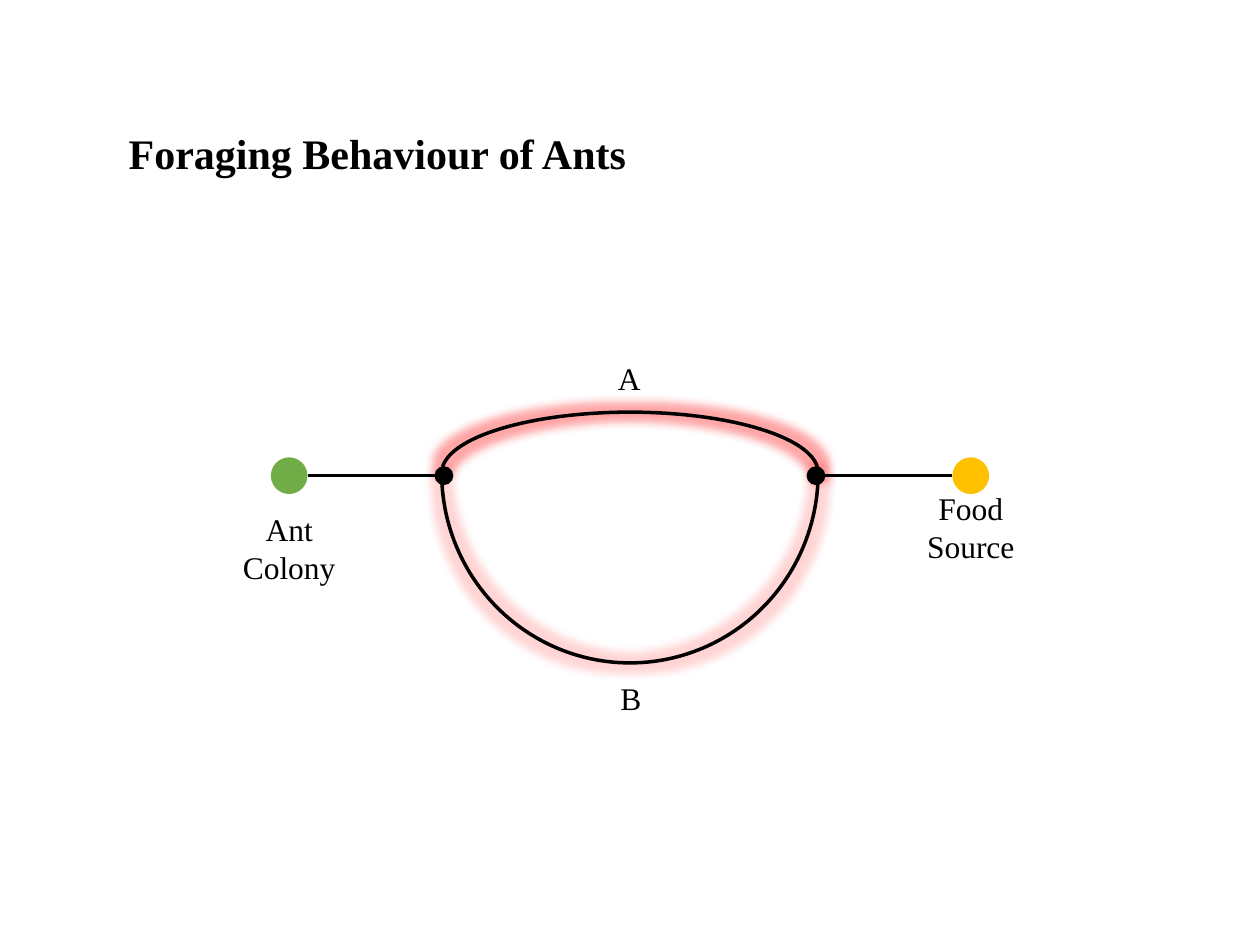
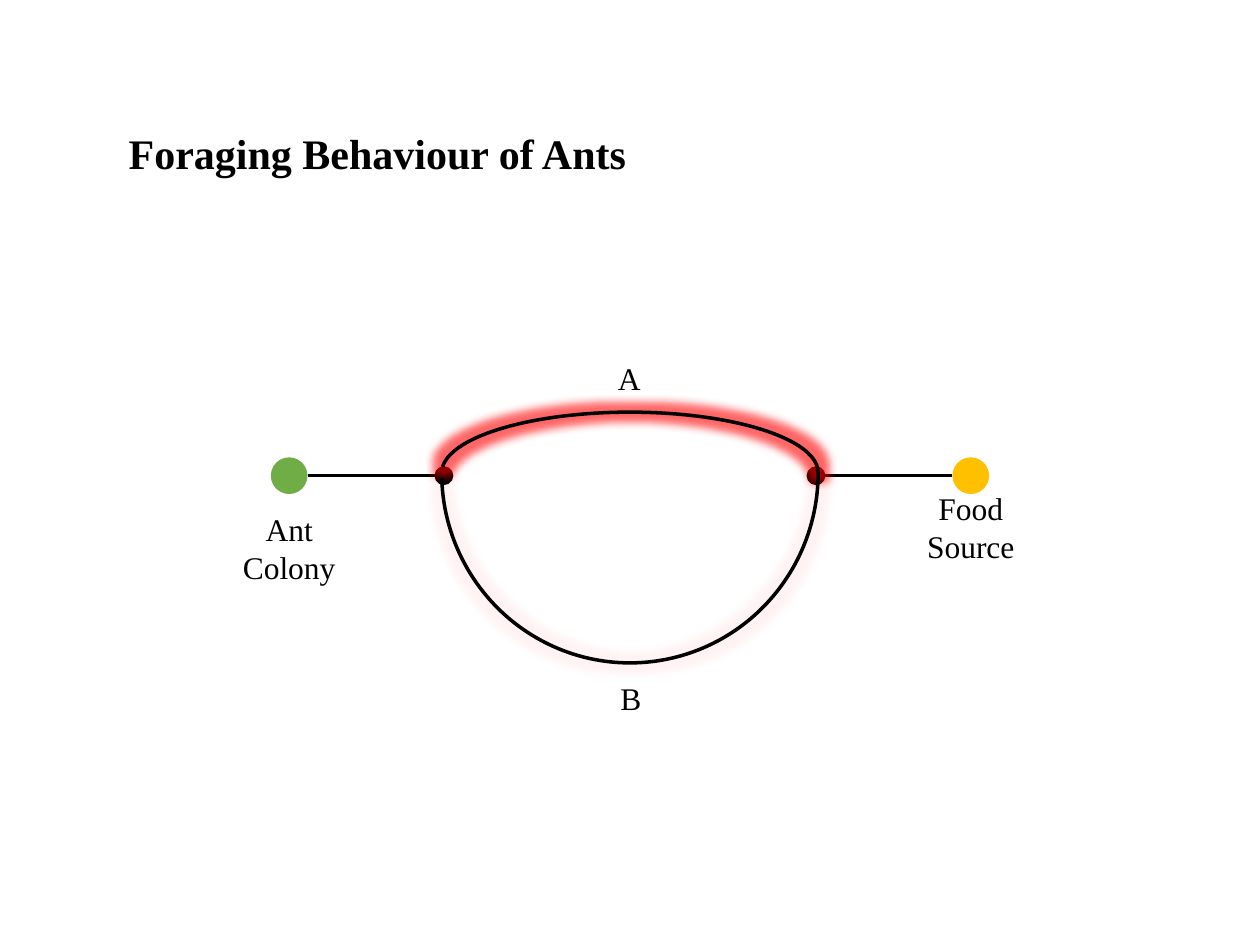
import pptx
import pptx.util
import pptx.dml.color
import pptx.enum.shapes
import pptx.enum.text
import pptx.oxml
import pptx.oxml.ns
from dataclasses import dataclass
from lxml import etree

Cm = pptx.util.Cm
Pt = pptx.util.Pt
Kind = pptx.enum.shapes.MSO_SHAPE
Align = pptx.enum.text.PP_ALIGN
qn = pptx.oxml.ns.qn


@dataclass(frozen=True)
class Theme:
    font: str = "Times New Roman"
    ink: str = "000000"
    nest: str = "70AD47"
    food: str = "FFC000"
    scent: str = "FF0000"
    head: int = 24
    label: int = 18
    line: int = 2
    glow: float = 0.35


THEME = Theme()
HEAD_BOX = (2.34, 2.44, 20.73, 1.27)
MAP_BOX = (4.62, 7.11, 16.16, 7.47)


def rgb(code):
    return pptx.dml.color.RGBColor.from_string(code)


def style(frame, size, align, bold=False):
    frame.vertical_anchor = pptx.enum.text.MSO_ANCHOR.TOP
    for para in frame.paragraphs:
        para.alignment = align
        for run in para.runs:
            font = run.font
            font.name, font.size, font.bold = THEME.font, Pt(size), bold
            font.color.rgb = rgb(THEME.ink)


def stroke(shape):
    shape.line.color.rgb = rgb(THEME.ink)
    shape.line.width = Pt(THEME.line)


def add_title(slide, box, text):
    title = slide.shapes.title
    title.left, title.top, title.width, title.height = map(Cm, box)
    frame = title.text_frame
    frame.text = text
    frame.word_wrap = True
    frame.auto_size = pptx.enum.text.MSO_AUTO_SIZE.NONE
    style(frame, THEME.head, Align.LEFT, True)


def add_label(slide, mid, top, text, width):
    high = 1.02 if "\n" not in text else 1.8
    box = slide.shapes.add_textbox(Cm(mid - width / 2), Cm(top), Cm(width), Cm(high))
    frame = box.text_frame
    frame.text = text
    frame.word_wrap = False
    style(frame, THEME.label, Align.CENTER)


def add_round(slide, kind, x, y, width, height):
    """Place a preset shape around its centre, without a shadow."""
    shape = slide.shapes.add_shape(
        kind, Cm(x - width / 2), Cm(y - height / 2), Cm(width), Cm(height))
    shape.shadow.inherit = False
    return shape


def add_dot(slide, x, y, size, color):
    dot = add_round(slide, Kind.OVAL, x, y, size, size)
    dot.fill.solid()
    dot.fill.fore_color.rgb = rgb(color)
    dot.line.fill.background()


def add_path(slide, y, start, end):
    path = slide.shapes.add_connector(
        pptx.enum.shapes.MSO_CONNECTOR.STRAIGHT, Cm(start), Cm(y), Cm(end), Cm(y))
    stroke(path)
    etree.SubElement(path._element.spPr, qn("a:effectLst"))


def add_trail(slide, x, y, height, alpha, flip):
    """Draw a half ellipse whose red glow is alpha percent opaque."""
    arc = add_round(slide, Kind.ARC, x, y, 7.59, height)
    arc.adjustments[0], arc.adjustments[1] = 109.05, 0.2
    arc.fill.background()
    stroke(arc)
    props = arc._element.spPr
    if flip:
        props.find(qn("a:xfrm")).set("flipV", "1")
    glow = etree.SubElement(props.find(qn("a:effectLst")), qn("a:glow"),
                            rad=str(Cm(THEME.glow)))
    color = etree.SubElement(glow, qn("a:srgbClr"), val=THEME.scent)
    etree.SubElement(color, qn("a:alpha"), val=str(alpha * 1000))


def add_trails(slide, x, y, short, long):
    add_trail(slide, x, y, 2.44, short, False)
    add_trail(slide, x, y, 7.67, long, True)


def add_map(slide, box, short, long, front):
    """Draw both routes; front puts the trails over the dots."""
    left, top, width, height = box
    mid, axis = left + width / 2, top + 2.48
    end, fork, big, small = 6.87, 3.75, 0.74, 0.38
    trails = (slide, mid, axis - 0.06, short, long)

    if not front:
        add_trails(*trails)
    for side, color in ((-1, THEME.nest), (1, THEME.food)):
        add_path(slide, axis, mid + side * (end - big / 2),
                 mid + side * (fork - small / 2))
        add_dot(slide, mid + side * end, axis, big, color)
        add_dot(slide, mid + side * fork, axis, small, THEME.ink)
    if front:
        add_trails(*trails)

    add_label(slide, mid - end, top + 3.05, "Ant\nColony", 2.41)
    add_label(slide, mid + end, top + 2.62, "Food\nSource", 2.29)
    add_label(slide, mid - 0.02, top, "A", 0.95)
    add_label(slide, mid + 0.02, top + height - 1.02, "B", 0.95)


def main():
    deck = pptx.Presentation()
    deck.slide_width, deck.slide_height = Cm(25.4), Cm(19.05)
    for short, long, front in ((35, 17, False), (60, 5, True)):
        slide = deck.slides.add_slide(deck.slide_layouts[5])
        add_title(slide, HEAD_BOX, "Foraging Behaviour of Ants")
        add_map(slide, MAP_BOX, short, long, front)
    deck.save("out.pptx")


if __name__ == "__main__":
    main()
